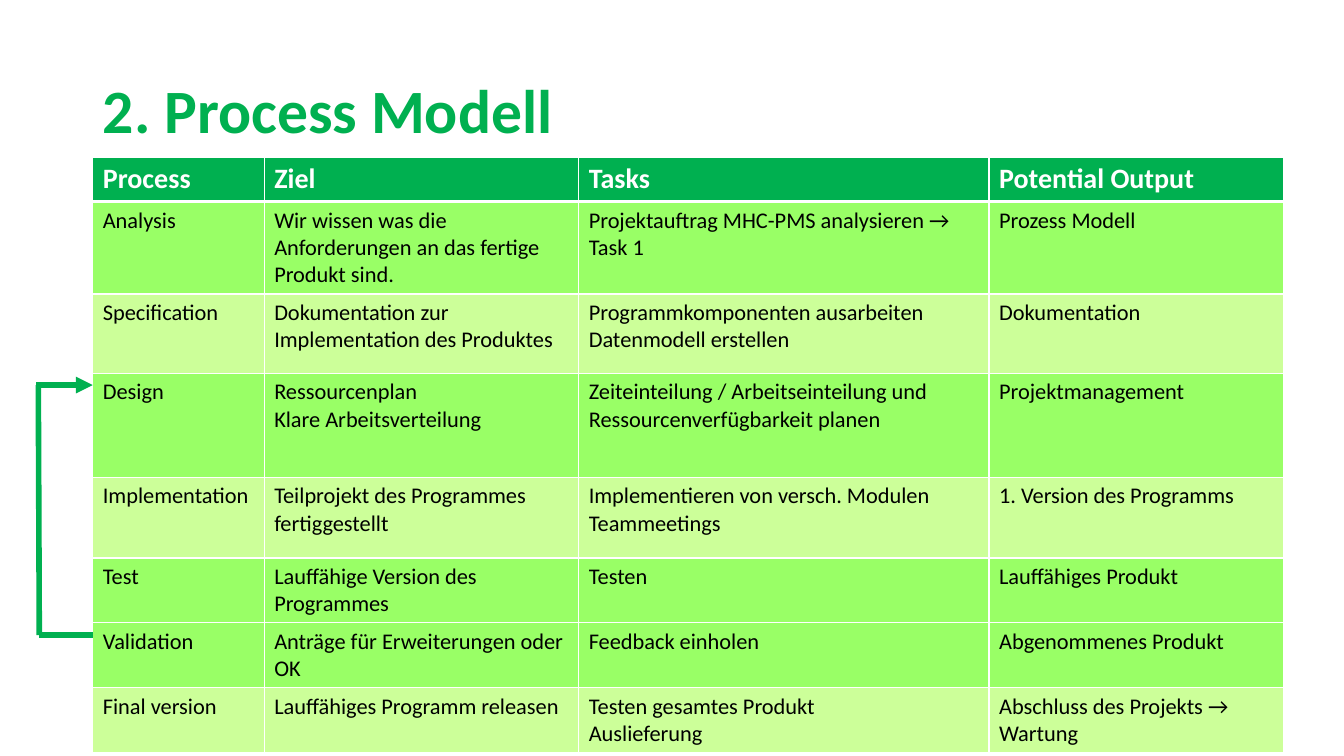
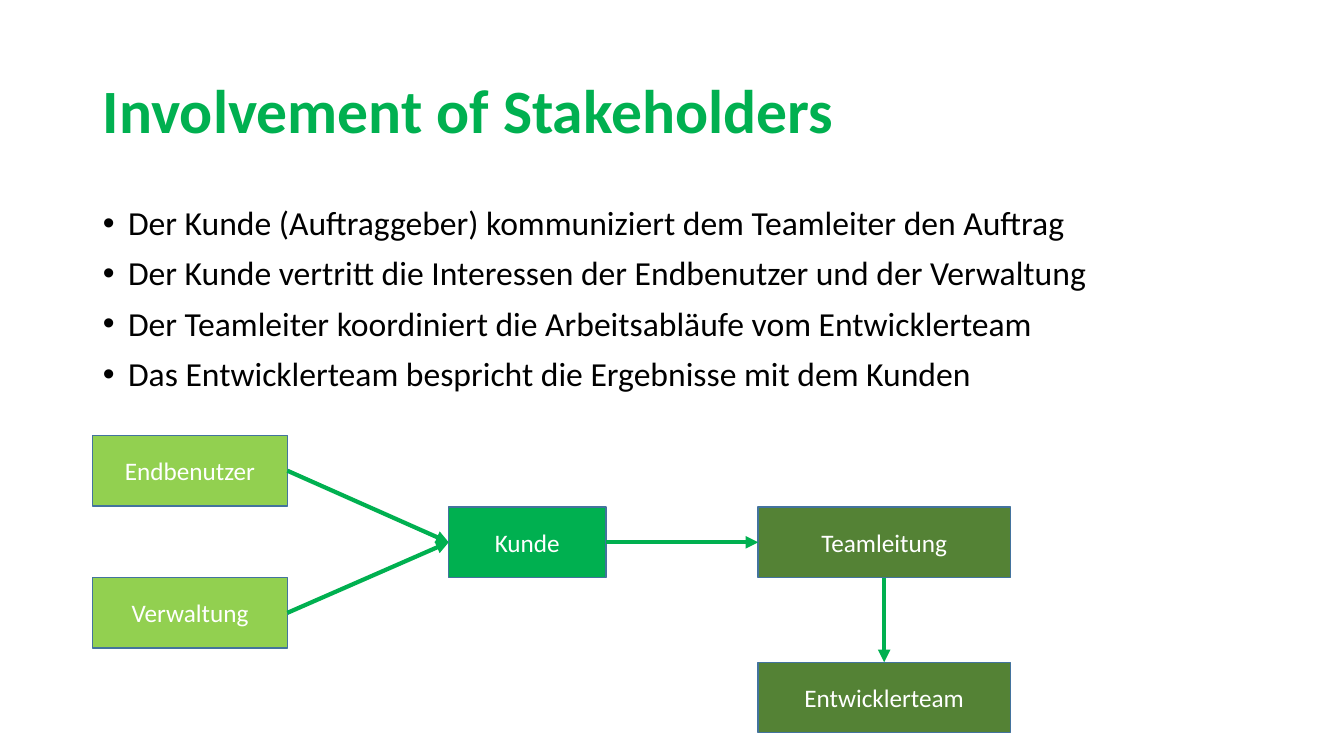
from dataclasses import dataclass

from lxml.etree import SubElement
from pptx import Presentation
from pptx.dml.color import RGBColor
from pptx.enum.shapes import MSO_CONNECTOR, MSO_SHAPE
from pptx.enum.text import MSO_ANCHOR, MSO_AUTO_SIZE, PP_ALIGN
from pptx.oxml.ns import qn
from pptx.util import Inches, Pt


@dataclass(frozen=True)
class Theme:
    font: str = "Calibri"
    green: RGBColor = RGBColor(0x00, 0xB0, 0x50)
    lime: RGBColor = RGBColor(0x92, 0xD0, 0x50)
    olive: RGBColor = RGBColor(0x54, 0x82, 0x35)
    outline: RGBColor = RGBColor(0x43, 0x73, 0x9E)
    row_strong: RGBColor = RGBColor(0x99, 0xFF, 0x66)
    row_light: RGBColor = RGBColor(0xCC, 0xFF, 0x99)
    black: RGBColor = RGBColor(0x00, 0x00, 0x00)
    white: RGBColor = RGBColor(0xFF, 0xFF, 0xFF)
    title_size: Pt = Pt(44)
    body_size: Pt = Pt(24)
    header_size: Pt = Pt(20)
    box_size: Pt = Pt(18)
    cell_size: Pt = Pt(16)


theme = Theme()
LEFT = 0.92


def format_text(frame, size, color, bold=False, **paragraph_format):
    """Give every paragraph of a text frame the same look."""
    for para in frame.paragraphs:
        for name, value in paragraph_format.items():
            setattr(para, name, value)
        for span in para.runs:
            for name, value in {"name": theme.font, "size": size, "bold": bold}.items():
                setattr(span.font, name, value)
            span.font.color.rgb = color


def style_line(connector, width, arrow=True):
    """Draw a green line without shadow, with an optional arrowhead."""
    connector.line.color.rgb = theme.green
    connector.line.width = Pt(width)
    properties = connector._element.spPr
    if arrow:
        SubElement(properties.find(qn("a:ln")), qn("a:tailEnd"), type="triangle")
    SubElement(properties, qn("a:effectLst"))


deck = Presentation()
deck.slide_width, deck.slide_height = Inches(13.33), Inches(7.5)

# Pages and titles
TITLE_AND_CONTENT, TITLE_ONLY = 1, 5
pages = []
for layout, heading in (
    (TITLE_ONLY, "2. Process Modell"),
    (TITLE_AND_CONTENT, "Involvement of Stakeholders"),
):
    page = deck.slides.add_slide(deck.slide_layouts[layout])
    title = page.shapes.title
    title.left, title.top, title.width, title.height = map(Inches, (LEFT, 0.4, 11.5, 1.45))
    title.text_frame.text = heading
    title.text_frame.auto_size = MSO_AUTO_SIZE.NONE
    title.text_frame.vertical_anchor = MSO_ANCHOR.MIDDLE
    format_text(title.text_frame, theme.title_size, theme.green, bold=True,
                alignment=PP_ALIGN.LEFT, line_spacing=0.9)
    pages.append(page)
process_page, stakeholder_page = pages

# Process table: row height, fill, cell texts
process_rows = [
    (0.38, theme.green, ("Process", "Ziel", "Tasks", "Potential Output")),
    (0.84, theme.row_strong, (
        "Analysis", "Wir wissen was die Anforderungen an das fertige Produkt sind.",
        "Projektauftrag MHC-PMS analysieren → Task 1", "Prozess Modell")),
    (0.79, theme.row_light, (
        "Specification", "Dokumentation zur Implementation des Produktes",
        "Programmkomponenten ausarbeiten\nDatenmodell erstellen", "Dokumentation")),
    (1.03, theme.row_strong, (
        "Design", "Ressourcenplan\nKlare Arbeitsverteilung",
        "Zeiteinteilung / Arbeitseinteilung und Ressourcenverfügbarkeit planen",
        "Projektmanagement")),
    (0.8, theme.row_light, (
        "Implementation", "Teilprojekt des Programmes fertiggestellt",
        "Implementieren von versch. Modulen\nTeammeetings", "1. Version des Programms")),
    (0.56, theme.row_strong, (
        "Test", "Lauffähige Version des Programmes", "Testen", "Lauffähiges Produkt")),
    (0.56, theme.row_strong, (
        "Validation", "Anträge für Erweiterungen oder OK", "Feedback einholen",
        "Abgenommenes Produkt")),
    (0.62, theme.row_light, (
        "Final version", "Lauffähiges Programm releasen",
        "Testen gesamtes Produkt\nAuslieferung", "Abschluss des Projekts → Wartung")),
]
column_widths = (1.7, 3.12, 4.07, 2.92)
table = process_page.shapes.add_table(
    len(process_rows), len(column_widths), Inches(LEFT), Inches(1.56),
    Inches(sum(column_widths)), Inches(sum(row[0] for row in process_rows))).table
for column, width in zip(table.columns, column_widths):
    column.width = Inches(width)

for row_index, (height, fill, texts) in enumerate(process_rows):
    is_header = row_index == 0
    table.rows[row_index].height = Inches(height)
    borders = {"lnL": 1, "lnR": 1, "lnT": 3 if row_index == 1 else 1,
               "lnB": 3 if is_header else 1}
    for column_index, text in enumerate(texts):
        cell = table.cell(row_index, column_index)
        cell.text = text
        format_text(cell.text_frame, theme.header_size if is_header else theme.cell_size,
                    theme.white if is_header else theme.black, bold=is_header)
        cell_properties = cell._tc.get_or_add_tcPr()
        for side, width in borders.items():
            border = SubElement(cell_properties, qn(f"a:{side}"), w=str(Pt(width)))
            border_fill = SubElement(border, qn("a:solidFill"))
            SubElement(border_fill, qn("a:srgbClr"), val=str(theme.white))
        cell.fill.solid()
        cell.fill.fore_color.rgb = fill

# Loop from Validation back to Design
feedback_loop = process_page.shapes.add_group_shape()
for start_x, start_y, end_x, end_y, arrow in (
    (LEFT, 6.3, 0.39, 6.3, False),
    (0.36, 3.82, LEFT, 3.82, True),
    (0.38, 3.82, 0.39, 6.3, False),
):
    segment = feedback_loop.shapes.add_connector(
        MSO_CONNECTOR.STRAIGHT, *map(Inches, (start_x, start_y, end_x, end_y)))
    style_line(segment, 4, arrow)

# Stakeholder list
body = stakeholder_page.placeholders[1]
body.left, body.top, body.width, body.height = map(Inches, (LEFT, 2, 11.5, 4.76))
body.text_frame.text = "\n".join((
    "Der Kunde (Auftraggeber) kommuniziert dem Teamleiter den Auftrag",
    "Der Kunde vertritt die Interessen der Endbenutzer und der Verwaltung",
    "Der Teamleiter koordiniert die Arbeitsabläufe vom Entwicklerteam",
    "Das Entwicklerteam bespricht die Ergebnisse mit dem Kunden",
))
body.text_frame.auto_size = MSO_AUTO_SIZE.NONE
format_text(body.text_frame, theme.body_size, theme.black,
            line_spacing=0.9, space_before=Pt(10))
for para in body.text_frame.paragraphs:
    indent = para._p.get_or_add_pPr()
    indent.set("marL", str(Inches(0.25)))
    indent.set("indent", str(-Inches(0.25)))

# Stakeholder boxes
boxes = {}
for name, left, top, width, fill in (
    ("Endbenutzer", LEFT, 4.32, 1.93, theme.lime),
    ("Verwaltung", LEFT, 5.73, 1.93, theme.lime),
    ("Kunde", 4.45, 5.03, 1.56, theme.green),
    ("Teamleitung", 7.52, 5.03, 2.5, theme.olive),
    ("Entwicklerteam", 7.52, 6.57, 2.5, theme.olive),
):
    box = stakeholder_page.shapes.add_shape(
        MSO_SHAPE.RECTANGLE, *map(Inches, (left, top, width, 0.7)))
    box.shadow.inherit = False
    box.fill.solid()
    box.fill.fore_color.rgb = fill
    box.line.color.rgb = theme.outline
    box.line.width = Pt(1)
    box.text_frame.text = name
    box.text_frame.vertical_anchor = MSO_ANCHOR.MIDDLE
    format_text(box.text_frame, theme.box_size, theme.white, alignment=PP_ALIGN.CENTER)
    boxes[name] = box

# Arrows between the boxes
TOP_SIDE, LEFT_SIDE, BOTTOM_SIDE, RIGHT_SIDE = range(4)
for source, source_side, target, target_side in (
    ("Endbenutzer", RIGHT_SIDE, "Kunde", LEFT_SIDE),
    ("Verwaltung", RIGHT_SIDE, "Kunde", LEFT_SIDE),
    ("Kunde", RIGHT_SIDE, "Teamleitung", LEFT_SIDE),
    ("Teamleitung", BOTTOM_SIDE, "Entwicklerteam", TOP_SIDE),
):
    arrow_line = stakeholder_page.shapes.add_connector(MSO_CONNECTOR.STRAIGHT, 0, 0, 0, 0)
    arrow_line.begin_connect(boxes[source], source_side)
    arrow_line.end_connect(boxes[target], target_side)
    style_line(arrow_line, 3)

deck.save("out.pptx")
